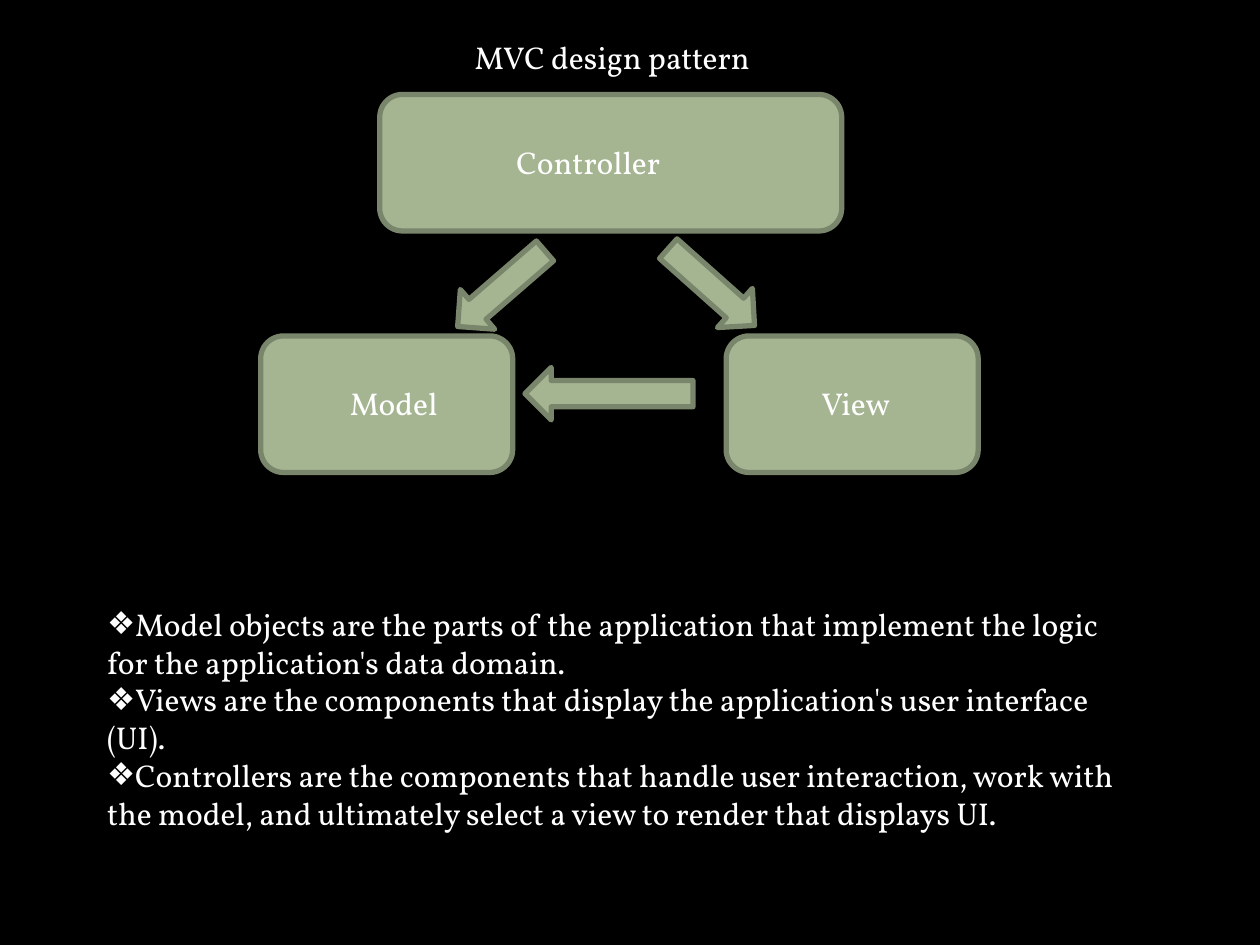
import pptx
import pptx.dml.color
import pptx.enum.shapes
import pptx.enum.text
import pptx.oxml
import pptx.oxml.ns
import pptx.util
from dataclasses import dataclass

Pt = pptx.util.Pt
RGB = pptx.dml.color.RGBColor
SHAPES = pptx.enum.shapes.MSO_SHAPE
ALIGN = pptx.enum.text.PP_ALIGN


@dataclass
class Theme:
    background = RGB(0x00, 0x00, 0x00)
    fill = RGB(0xA5, 0xB5, 0x92)
    outline = RGB(0x7A, 0x86, 0x6C)
    text = RGB(0xFF, 0xFF, 0xFF)
    font = "Vollkorn"
    size = Pt(18)
    line_width = Pt(3)


theme = Theme()


def place(shape, left, top, width, height):
    shape.left, shape.top = Pt(left), Pt(top)
    shape.width, shape.height = Pt(width), Pt(height)


def write(shape, lines, alignment):
    frame = shape.text_frame
    frame.text = "\n".join(lines)
    frame.word_wrap = True
    frame.auto_size = pptx.enum.text.MSO_AUTO_SIZE.NONE
    frame.vertical_anchor = pptx.enum.text.MSO_ANCHOR.TOP
    for paragraph in frame.paragraphs:
        paragraph.alignment = alignment
        paragraph.space_before = Pt(0)
        paragraph.font.name = theme.font
        paragraph.font.size = theme.size
        paragraph.font.color.rgb = theme.text


presentation = pptx.Presentation()
presentation.slide_width, presentation.slide_height = Pt(720), Pt(540)
slide = presentation.slides.add_slide(presentation.slide_layouts[1])
slide.background.fill.solid()
slide.background.fill.fore_color.rgb = theme.background

title = slide.shapes.title
place(title, 264, 18, 174, 29)
write(title, ["MVC design pattern"], ALIGN.LEFT)

body = slide.placeholders[1]
place(body, 54, 342, 600, 138)
write(body, [
    "Model objects are the parts of the application that implement the logic for the application's data domain.",
    "Views are the components that display the application's user interface (UI).",
    "Controllers are the components that handle user interaction, work with the model, "
    "and ultimately select a view to render that displays UI.",
], ALIGN.LEFT)
for paragraph in body.text_frame.paragraphs:
    properties = paragraph._p.get_or_add_pPr()
    properties.set("marL", "0")
    properties.set("indent", "0")
    bullet = pptx.oxml.parse_xml(f'<a:buChar {pptx.oxml.ns.nsdecls("a")} char="❖"/>')
    properties.append(bullet)

boxes = [(217, 54, 264, 78), (149, 192, 144, 78), (415, 192, 144, 78)]
arrows = [(300, 210, 96, 30, 0), (253.5, 150, 66, 30, 319.1), (373.5, 149, 66, 30, 221.7)]
blocks = [(SHAPES.ROUNDED_RECTANGLE, *box, 0) for box in boxes]
blocks += [(SHAPES.LEFT_ARROW, *arrow) for arrow in arrows]
for kind, left, top, width, height, rotation in blocks:
    shape = slide.shapes.add_shape(kind, Pt(left), Pt(top), Pt(width), Pt(height))
    shape.rotation = rotation
    shape.shadow.inherit = False
    shape.fill.solid()
    shape.fill.fore_color.rgb = theme.fill
    shape.line.color.rgb = theme.outline
    shape.line.width = theme.line_width

labels = [
    ("Controller", 288, 78, ALIGN.LEFT),
    ("Model", 168, 216, ALIGN.CENTER),
    ("View", 432, 216, ALIGN.CENTER),
]
for text, left, top, alignment in labels:
    label = slide.shapes.add_textbox(Pt(left), Pt(top), Pt(114), Pt(29))
    write(label, [text], alignment)

presentation.save("out.pptx")
